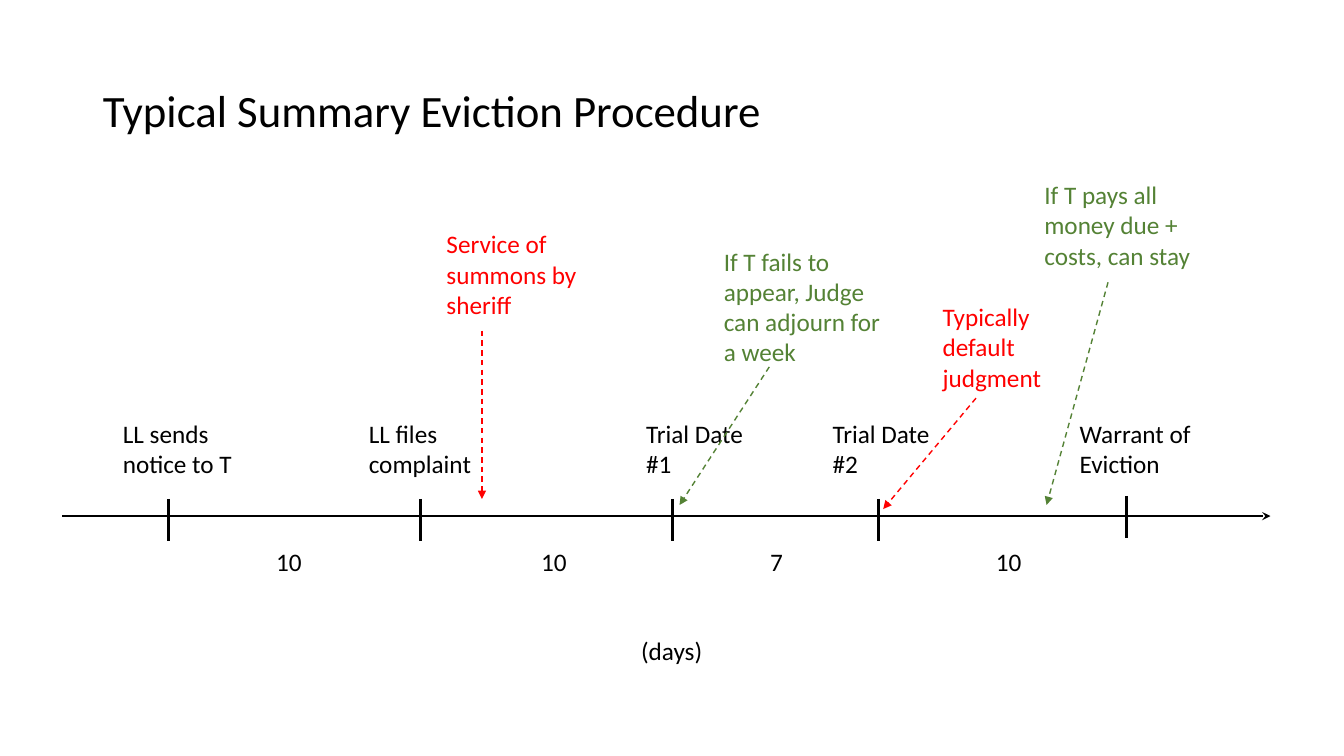
"""Build a timeline slide of a typical summary eviction procedure."""
from lxml import etree
from pptx import Presentation
from pptx.dml.color import RGBColor
from pptx.enum.dml import MSO_LINE
from pptx.enum.shapes import MSO_CONNECTOR
from pptx.enum.text import MSO_ANCHOR, MSO_AUTO_SIZE, PP_ALIGN
from pptx.oxml.ns import qn
from pptx.util import Pt

STRAIGHT = MSO_CONNECTOR.STRAIGHT
DASH = MSO_LINE.DASH
FIT_SHAPE = MSO_AUTO_SIZE.SHAPE_TO_FIT_TEXT
NO_FIT = MSO_AUTO_SIZE.NONE
MIDDLE = MSO_ANCHOR.MIDDLE
LEFT = PP_ALIGN.LEFT

PX = 9144
FONT = "Calibri"
COLORS = {"ink": "000000", "red": "FF0000", "green": "548235"}

TITLE = "Typical Summary Eviction Procedure"
TITLE_BOX = (92, 40, 1150, 145)
AXIS = (62, 512, 1260, 512)
UNIT = ("(days)", 626, 625, 82)

# step, label left, label width, tick x, tick top
STEPS = [
    ("LL sends notice to T", 112, 136, 167, 495),
    ("LL files complaint", 356, 137, 417, 495),
    ("Trial Date #1", 631, 121, 667, 495),
    ("Trial Date #2", 816, 121, 871, 495),
    ("Warrant of Eviction", 1061, 131, 1117, 492),
]
STEP_TOP, STEP_HEIGHT, TICK_HEIGHT = 410, 71, 42

# days, left, width
INTERVALS = [("10", 264, 46), ("10", 527, 46), ("7", 754, 33), ("10", 978, 46)]
INTERVAL_TOP, LINE_HEIGHT = 537, 40

# note, color, left, top, height, arrow ends
NOTES = [
    ("Service of summons by sheriff", "red", 433, 222, 103, (478, 328, 478, 495)),
    ("If T fails to appear, Judge can adjourn for a week", "green", 708, 239, 131,
     (763, 364, 674, 501)),
    ("Typically default judgment", "red", 925, 294, 101, (968, 395, 876, 505)),
    ("If T pays all money due + costs, can stay", "green", 1026, 173, 101,
     (1099, 280, 1038, 501)),
]
NOTE_WIDTH = 182


def emu(lengths):
    return [length * PX for length in lengths]


def style_text(frame, size, color):
    for run in frame.paragraphs[0].runs:
        run.font.name = FONT
        run.font.size = Pt(size)
        run.font.color.rgb = RGBColor.from_string(COLORS[color])


def add_label(slide, text, box, color="ink", wrap=True):
    frame = slide.shapes.add_textbox(*emu(box)).text_frame
    frame.text = text
    frame.word_wrap = wrap
    frame.auto_size = FIT_SHAPE
    style_text(frame, 18, color)


def add_line(slide, ends, color="ink", width=2, dash=None, head=None):
    connector = slide.shapes.add_connector(STRAIGHT, *emu(ends))
    connector.line.color.rgb = RGBColor.from_string(COLORS[color])
    connector.line.width = Pt(width)
    if dash:
        connector.line.dash_style = dash
    properties = connector.element.spPr
    if head:
        tail = etree.SubElement(properties.find(qn("a:ln")), qn("a:tailEnd"))
        tail.set("type", head)
    etree.SubElement(properties, qn("a:effectLst"))


def main():
    deck = Presentation()
    deck.slide_width, deck.slide_height = emu((1333, 750))
    slide = deck.slides.add_slide(deck.slide_layouts[5])

    title = slide.shapes.title
    title.left, title.top, title.width, title.height = emu(TITLE_BOX)
    title.text_frame.text = TITLE
    title.text_frame.vertical_anchor = MIDDLE
    title.text_frame.auto_size = NO_FIT
    title.text_frame.paragraphs[0].alignment = LEFT
    title.text_frame.paragraphs[0].line_spacing = 0.9
    style_text(title.text_frame, 32, "ink")

    add_line(slide, AXIS, head="stealth")
    unit, left, top, width = UNIT
    add_label(slide, unit, (left, top, width, LINE_HEIGHT), wrap=False)

    for step, left, width, tick_x, tick_top in STEPS:
        add_line(slide, (tick_x, tick_top, tick_x, tick_top + TICK_HEIGHT))
        add_label(slide, step, (left, STEP_TOP, width, STEP_HEIGHT))

    for days, left, width in INTERVALS:
        add_label(slide, days, (left, INTERVAL_TOP, width, LINE_HEIGHT), wrap=False)

    for note, color, left, top, height, arrow in NOTES:
        add_label(slide, note, (left, top, NOTE_WIDTH, height), color)
        add_line(slide, arrow, color, 1, DASH, "triangle")

    deck.save("out.pptx")


if __name__ == "__main__":
    main()
